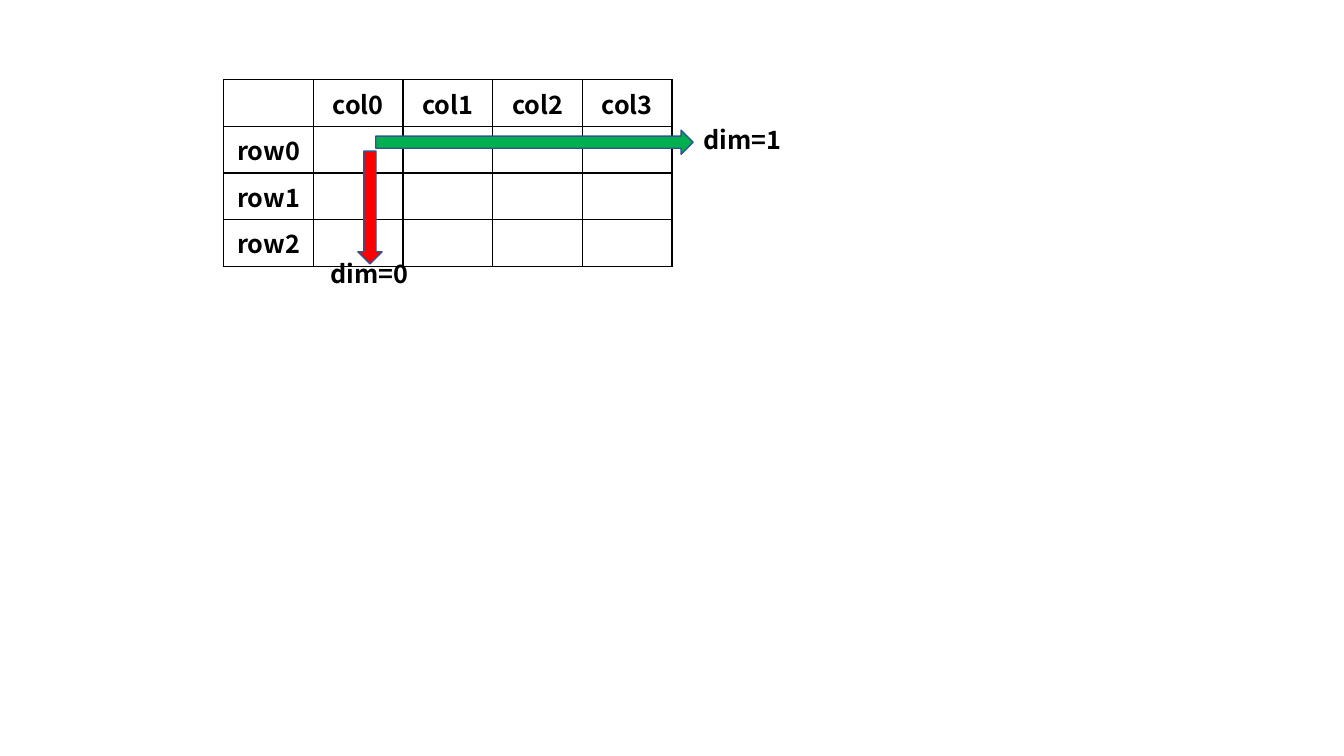
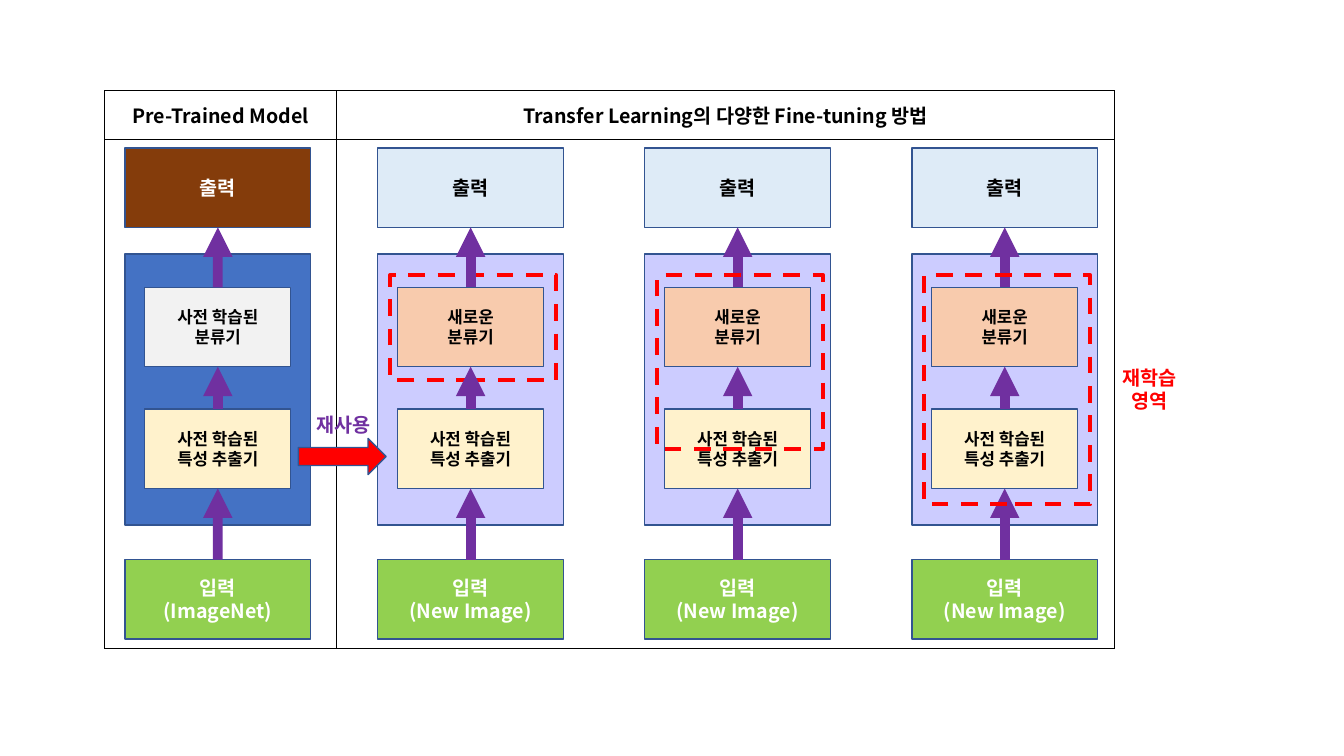
from lxml import etree
from pptx import Presentation
from pptx.dml.color import RGBColor
from pptx.enum.dml import MSO_LINE_DASH_STYLE as DASH
from pptx.enum.shapes import MSO_CONNECTOR, MSO_SHAPE as SHAPE
from pptx.enum.text import MSO_ANCHOR as ANCHOR, MSO_AUTO_SIZE as AUTO_SIZE, PP_ALIGN as ALIGN
from pptx.oxml.ns import qn
from pptx.util import Cm, Pt

FONT = "Noto Sans CJK KR"
BLACK, WHITE, RED, PURPLE = "000000", "FFFFFF", "FF0000", "7030A0"
OUTLINE = "325491"
color = RGBColor.from_string


def write_text(frame, lines, size, text_color, align=ALIGN.CENTER):
    for index, line in enumerate(lines):
        paragraph = frame.paragraphs[0] if index == 0 else frame.add_paragraph()
        paragraph.alignment = align
        run = paragraph.add_run()
        run.text = line
        run.font.name = FONT
        run.font.size = Pt(size)
        run.font.bold = True
        run.font.color.rgb = color(text_color)
        etree.SubElement(run.font._element, qn("a:ea"), typeface=FONT)


def add_box(slide, kind, left, top, width, height, fill=None, line=OUTLINE, weight=1):
    shape = slide.shapes.add_shape(kind, Cm(left), Cm(top), Cm(width), Cm(height))
    shape.shadow.inherit = False
    if fill:
        shape.fill.solid()
        shape.fill.fore_color.rgb = color(fill)
    else:
        shape.fill.background()
    shape.line.color.rgb = color(line)
    shape.line.width = Pt(weight)
    return shape


presentation = Presentation()
presentation.slide_width, presentation.slide_height = Cm(33.87), Cm(19.05)

# Each slide starts with a ruled table: left, top, columns, rows, size, texts
grid = [["", "col0", "col1", "col2", "col3"]]
grid += [[f"row{number}", "", "", "", ""] for number in range(3)]
headings = [["Pre-Trained Model", "Transfer Learning의 다양한 Fine-tuning 방법"], ["", ""]]
tables = [
    (5.64, 2.01, [2.26] * 5, [1.03] * 4, 18, grid),
    (2.64, 2.29, [5.84, 19.61], [1.22, 12.83], 14, headings),
]
slides = []
for left, top, widths, heights, size, texts in tables:
    slide = presentation.slides.add_slide(presentation.slide_layouts[6])
    slides.append(slide)
    table = slide.shapes.add_table(len(heights), len(widths), Cm(left), Cm(top),
                                   Cm(sum(widths)), Cm(sum(heights))).table
    table.first_row = table.horz_banding = False
    for column, width in zip(table.columns, widths):
        column.width = Cm(width)
    for row, height, row_texts in zip(table.rows, heights, texts):
        row.height = Cm(height)
        for cell, text in zip(row.cells, row_texts):
            cell.vertical_anchor = ANCHOR.MIDDLE
            properties = cell._tc.get_or_add_tcPr()
            for side in ("a:lnL", "a:lnR", "a:lnT", "a:lnB"):
                border = etree.SubElement(properties, qn(side), w=str(Pt(1)))
                solid = etree.SubElement(border, qn("a:solidFill"))
                etree.SubElement(solid, qn("a:srgbClr"), val=BLACK)
            cell.fill.background()
            if text:
                write_text(cell.text_frame, [text], size, BLACK)
dimension_slide, transfer_slide = slides

# Model columns: the pre-trained one, then three at an equal pitch
PANEL_WIDTH, INNER_WIDTH, BOX_HEIGHT = 4.68, 3.68, 2
FIRST_TUNED, PITCH = 9.52, 6.73
pretrained = (3.15, "4472C4", "843C0B", WHITE, "F2F2F2", "사전 학습된", "(ImageNet)", None)
tuned = [(FIRST_TUNED + index * PITCH, "CCCCFF", "DEEBF7", BLACK, "F8CBAD", "새로운",
          "(New Image)", retrained) for index, retrained in enumerate([2.64, 4.37, 5.77])]
for left, panel_fill, output_fill, output_color, classifier_fill, state, source, retrained in [
        pretrained, *tuned]:
    panel = add_box(transfer_slide, SHAPE.RECTANGLE, left, 6.4, PANEL_WIDTH, 6.83, panel_fill)

    # Stages from top to bottom
    stages = [
        (3.73, PANEL_WIDTH, output_fill, ["출력"], 14, output_color),
        (7.24, INNER_WIDTH, classifier_fill, [state, "분류기"], 12, BLACK),
        (10.31, INNER_WIDTH, "FFF2CC", ["사전 학습된", "특성 추출기"], 12, BLACK),
        (14.1, PANEL_WIDTH, "92D050", ["입력", source], 14, WHITE),
    ]
    boxes = []
    for top, width, fill, lines, size, text_color in stages:
        box = add_box(transfer_slide, SHAPE.RECTANGLE, left + (PANEL_WIDTH - width) / 2, top,
                      width, BOX_HEIGHT, fill)
        write_text(box.text_frame, lines, size, text_color)
        boxes.append(box)

    # Arrows up from each stage to the next
    for upper, lower in zip(boxes, boxes[1:]):
        arrow = transfer_slide.shapes.add_connector(MSO_CONNECTOR.STRAIGHT, 0, 0, 0, 0)
        arrow.begin_connect(lower, 0)
        arrow.end_connect(upper, 2)
        arrow.line.color.rgb = color(PURPLE)
        arrow.line.width = Pt(7)
        etree.SubElement(arrow.line._get_or_add_ln(), qn("a:tailEnd"), type="triangle")
        etree.SubElement(arrow._element.spPr, qn("a:effectLst"))

    # Dashed frame around the retrained part
    if retrained:
        frame = add_box(transfer_slide, SHAPE.RECTANGLE, left + 0.31, 6.94, 4.19, retrained,
                        line=RED, weight=3)
        frame.line.dash_style = DASH.DASH
        if left == FIRST_TUNED:
            panel._element.addnext(frame._element)

# Block arrows
for slide, kind, left, top, width, height, fill in [
    (dimension_slide, SHAPE.RIGHT_ARROW, 9.47, 3.28, 8, 0.61, "00B050"),
    (dimension_slide, SHAPE.DOWN_ARROW, 9.02, 3.81, 0.61, 2.84, RED),
    (transfer_slide, SHAPE.RIGHT_ARROW, 7.52, 11.05, 2.21, 0.91, RED),
]:
    add_box(slide, kind, left, top, width, height, fill)

# Free labels
for slide, left, top, width, height, lines, size, text_color, align in [
    (dimension_slide, 17.48, 3.02, 2.51, 1.02, ["dim=1"], 18, BLACK, ALIGN.LEFT),
    (dimension_slide, 8.08, 6.38, 2.51, 1.02, ["dim=0"], 18, BLACK, ALIGN.LEFT),
    (transfer_slide, 7.72, 10.29, 2.01, 0.86, ["재사용"], 14, PURPLE, ALIGN.LEFT),
    (transfer_slide, 27.97, 9.09, 2.01, 1.45, ["재학습", "영역"], 14, RED, ALIGN.CENTER),
]:
    label = slide.shapes.add_textbox(Cm(left), Cm(top), Cm(width), Cm(height)).text_frame
    label.word_wrap = False
    label.auto_size = AUTO_SIZE.SHAPE_TO_FIT_TEXT
    write_text(label, lines, size, text_color, align)

presentation.save("out.pptx")
